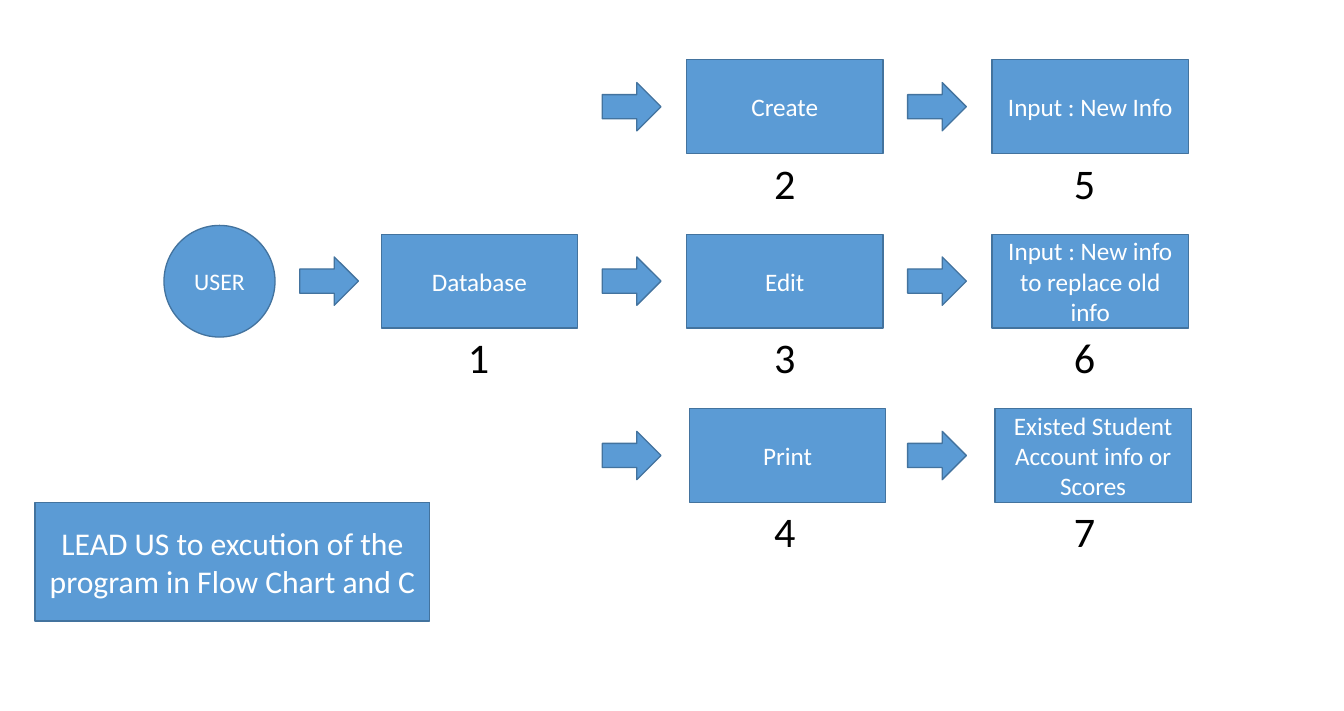
"""Builds the flow chart slide of the student database program."""
from pptx import Presentation
from pptx.dml.color import RGBColor
from pptx.enum.shapes import MSO_SHAPE as Preset
from pptx.enum.text import MSO_ANCHOR as Anchor, MSO_AUTO_SIZE as AutoSize, PP_ALIGN as Align
from pptx.util import Pt

STEPS = [
    (0, 1, "Database", "1"),
    (1, 0, "Create", "2"),
    (1, 1, "Edit", "3"),
    (1, 2, "Print", "4"),
    (2, 0, "Input : New Info", "5"),
    (2, 1, "Input : New info to replace old info", "6"),
    (2, 2, "Existed Student Account info or Scores", "7"),
]
USER = "USER"
GOAL = "LEAD US to excution of the program in Flow Chart and C"

FILL, LINE, WHITE, BLACK = "5B9BD5", "43739E", "FFFFFF", "000000"
FONT = "Calibri"
LEFT, TOP, COLUMN_STEP, ROW_STEP = 289.4, 45.4, 231.85, 132.45
BOX_WIDTH, BOX_HEIGHT = 149, 71.3
ARROW_LEFTS = [227.5, 457.2, 689]
ARROW_DROP, ARROW_WIDTH, ARROW_HEIGHT = 17.3, 44.6, 36.7
NUMBER_LEFTS = [347.8, 580.3, 807.8]
NUMBER_DROP, NUMBER_WIDTH, NUMBER_HEIGHT = 70.2, 31, 46
LAST_ROW_SHIFT = 2.2


def color(value):
    return RGBColor.from_string(value)


def write(frame, text, size, text_color):
    paragraph = frame.paragraphs[0]
    paragraph.alignment = Align.CENTER
    run = paragraph.add_run()
    run.text = text
    run.font.name = FONT
    run.font.size = Pt(size)
    run.font.color.rgb = color(text_color)


def add_block(slide, preset, left, top, width, height, text="", size=19.1, inset=(7.65, 3.8)):
    shape = slide.shapes.add_shape(preset, Pt(left), Pt(top), Pt(width), Pt(height))
    shape.shadow.inherit = False
    shape.fill.solid()
    shape.fill.fore_color.rgb = color(FILL)
    shape.line.color.rgb = color(LINE)
    shape.line.width = Pt(1)
    if text:
        frame = shape.text_frame
        frame.word_wrap = True
        frame.vertical_anchor = Anchor.MIDDLE
        frame.margin_left = frame.margin_right = Pt(inset[0])
        frame.margin_top = frame.margin_bottom = Pt(inset[1])
        write(frame, text, size, WHITE)


def add_number(slide, left, top, text):
    box = slide.shapes.add_textbox(Pt(left), Pt(top), Pt(NUMBER_WIDTH), Pt(NUMBER_HEIGHT))
    box.text_frame.word_wrap = False
    box.text_frame.auto_size = AutoSize.SHAPE_TO_FIT_TEXT
    write(box.text_frame, text, 32, BLACK)


def main():
    presentation = Presentation()
    presentation.slide_width, presentation.slide_height = Pt(1020.24), Pt(540)
    slide = presentation.slides.add_slide(presentation.slide_layouts[6])
    for column, row, label, number in STEPS:
        top = TOP + row * ROW_STEP
        left = LEFT + column * COLUMN_STEP + (LAST_ROW_SHIFT if row == 2 else 0)
        add_block(slide, Preset.FLOWCHART_PROCESS, left, top, BOX_WIDTH, BOX_HEIGHT, label)
        add_block(slide, Preset.RIGHT_ARROW, ARROW_LEFTS[column], top + ARROW_DROP,
                  ARROW_WIDTH, ARROW_HEIGHT)
        add_number(slide, NUMBER_LEFTS[column], top + NUMBER_DROP, number)
    add_block(slide, Preset.FLOWCHART_CONNECTOR, 124.5, 171.2, 84.3, 84.8, USER, 18, (7.2, 3.6))
    add_block(slide, Preset.FLOWCHART_PROCESS, 26.7, 381.6, 299.5, 90, GOAL, 24)
    presentation.save("out.pptx")


if __name__ == "__main__":
    main()
